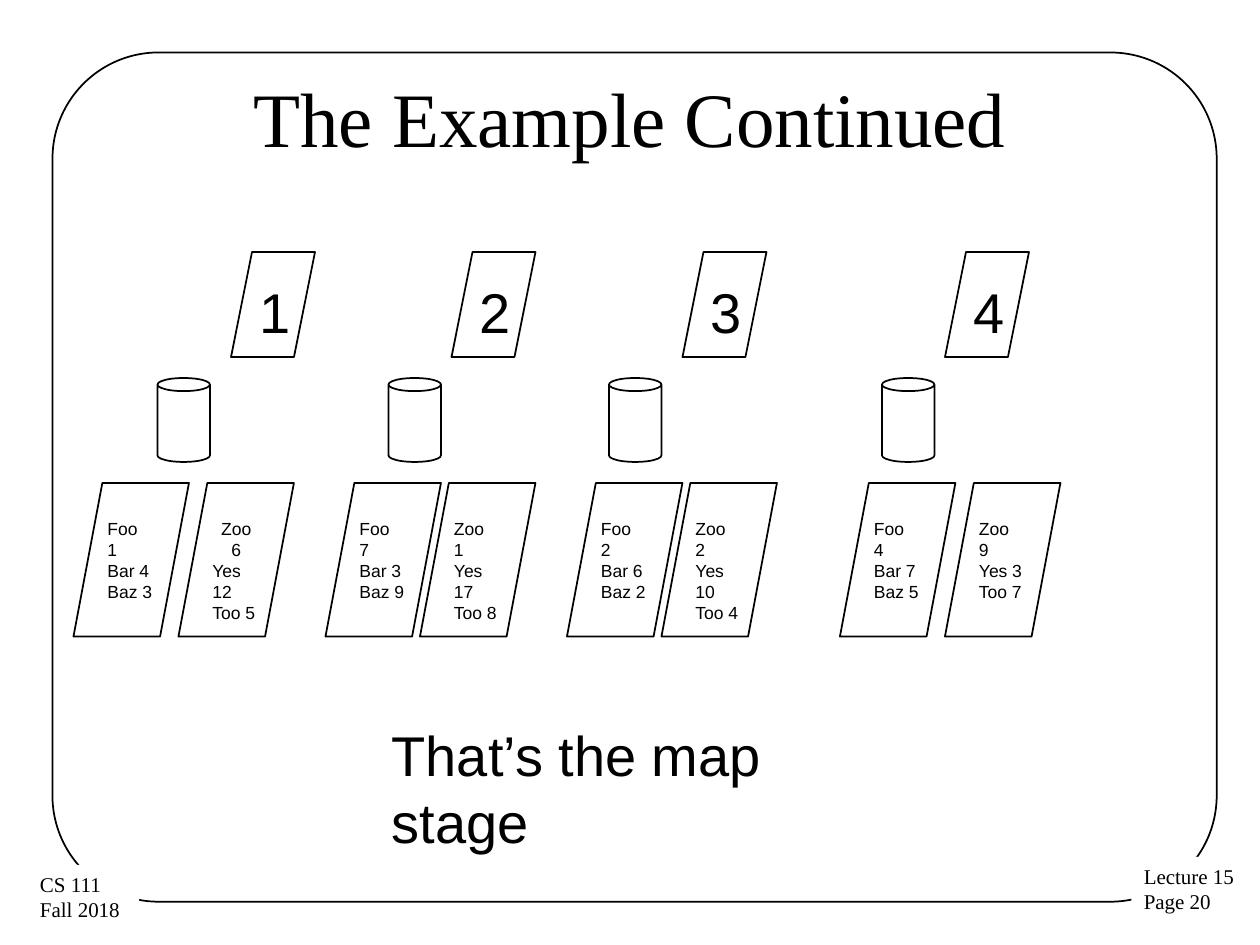
from typing import NamedTuple

from pptx import Presentation
from pptx.dml.color import RGBColor
from pptx.enum.shapes import MSO_SHAPE
from pptx.enum.text import MSO_ANCHOR, PP_ALIGN
from pptx.util import Emu, Pt

PX = 9525  # EMU per px, 96 px to the inch
BLACK = RGBColor(0x00, 0x00, 0x00)
WHITE = RGBColor(0xFF, 0xFF, 0xFF)
SANS = "Arial"
SERIF = "Times New Roman"
LEFT, CENTER = PP_ALIGN.LEFT, PP_ALIGN.CENTER
TOP, MIDDLE = MSO_ANCHOR.TOP, MSO_ANCHOR.MIDDLE
RECTANGLE = MSO_SHAPE.RECTANGLE
ROUNDED = MSO_SHAPE.ROUNDED_RECTANGLE
PARALLELOGRAM = MSO_SHAPE.PARALLELOGRAM
CAN = MSO_SHAPE.CAN


class Box(NamedTuple):
    left: int
    top: int
    width: int
    height: int

    def emu(self) -> list[Emu]:
        return [Emu(length * PX) for length in self]


class Sheet(NamedTuple):
    left: int
    lines: list[str]
    first_align: PP_ALIGN = LEFT


class Mapper(NamedTuple):
    input_left: int
    can_left: int
    counts: list[Sheet]


MAPPERS = [
    Mapper(176, 120, [Sheet(56, ["Foo\n1", "Bar 4", "Baz 3"]),
                      Sheet(136, ["Zoo\n6", "Yes 12", "Too 5"], CENTER)]),
    Mapper(344, 296, [Sheet(248, ["Foo\n7", "Bar 3", "Baz 9"]),
                      Sheet(320, ["Zoo\n1", "Yes 17", "Too 8"])]),
    Mapper(520, 464, [Sheet(432, ["Foo\n2", "Bar 6", "Baz 2"]),
                      Sheet(504, ["Zoo\n2", "Yes 10", "Too 4"])]),
    Mapper(720, 672, [Sheet(640, ["Foo\n4", "Bar 7", "Baz 5"]),
                      Sheet(720, ["Zoo\n9", "Yes 3", "Too 7"])]),
]
FOOTERS = [
    (Box(862, 653, 89, 49), ["Lecture 15", "Page 20"]),
    (Box(21, 659, 85, 49), ["CS 111", "Fall 2018"]),
]


def write(frame, lines: list[str], size: int, font: str,
          first_align: PP_ALIGN = LEFT, anchor: MSO_ANCHOR = TOP,
          wrap: bool = True) -> None:
    """Write one paragraph per line; a newline inside one is a line break."""
    frame.word_wrap = wrap
    frame.vertical_anchor = anchor
    for index, line in enumerate(lines):
        paragraph = frame.add_paragraph() if index else frame.paragraphs[0]
        paragraph.alignment = LEFT if index else first_align
        for part_index, part in enumerate(line.split("\n")):
            if part_index:
                paragraph.add_line_break()
            run = paragraph.add_run()
            run.text = part
            run.font.size = Pt(size)
            run.font.name = font
            run.font.color.rgb = BLACK


def add_outline(slide, kind: MSO_SHAPE, box: Box, adjustment: float = 0.25):
    outline = slide.shapes.add_shape(kind, *box.emu())
    outline.shadow.inherit = False
    outline.adjustments[0] = adjustment
    outline.fill.background()
    outline.line.color.rgb = BLACK
    outline.line.width = Pt(1)
    return outline


def add_footer(slide, box: Box, lines: list[str]) -> None:
    """Cover part of the frame with a white label."""
    label = slide.shapes.add_shape(RECTANGLE, *box.emu())
    label.shadow.inherit = False
    label.fill.solid()
    label.fill.fore_color.rgb = WHITE
    label.line.fill.background()
    write(label.text_frame, lines, 12, SERIF, wrap=False)


def add_mapper(slide, number: int, mapper: Mapper) -> None:
    chunk = add_outline(slide, PARALLELOGRAM, Box(mapper.input_left, 192, 64, 80))
    write(chunk.text_frame, [str(number)], 32, SANS, CENTER)
    add_outline(slide, CAN, Box(mapper.can_left, 288, 40, 64))
    for sheet in mapper.counts:
        page = add_outline(slide, PARALLELOGRAM, Box(sheet.left, 368, 88, 117))
        write(page.text_frame, sheet.lines, 10, SANS, sheet.first_align)


def main() -> None:
    deck = Presentation()
    deck.slide_width, deck.slide_height = Emu(960 * PX), Emu(720 * PX)
    slide = deck.slides.add_slide(deck.slide_layouts[5])

    title = slide.shapes.title
    title.left, title.top, title.width, title.height = Box(48, 29, 864, 120).emu()
    write(title.text_frame, ["The Example Continued"], 44, SERIF, CENTER, MIDDLE)

    add_outline(slide, ROUNDED, Box(40, 40, 887, 647), 0.125)
    for box, lines in FOOTERS:
        add_footer(slide, box, lines)
    for number, mapper in enumerate(MAPPERS, start=1):
        add_mapper(slide, number, mapper)

    caption = slide.shapes.add_textbox(*Box(289, 544, 374, 61).emu())
    write(caption.text_frame, ["That’s the map stage"], 32, SANS)

    deck.save("out.pptx")


if __name__ == "__main__":
    main()
